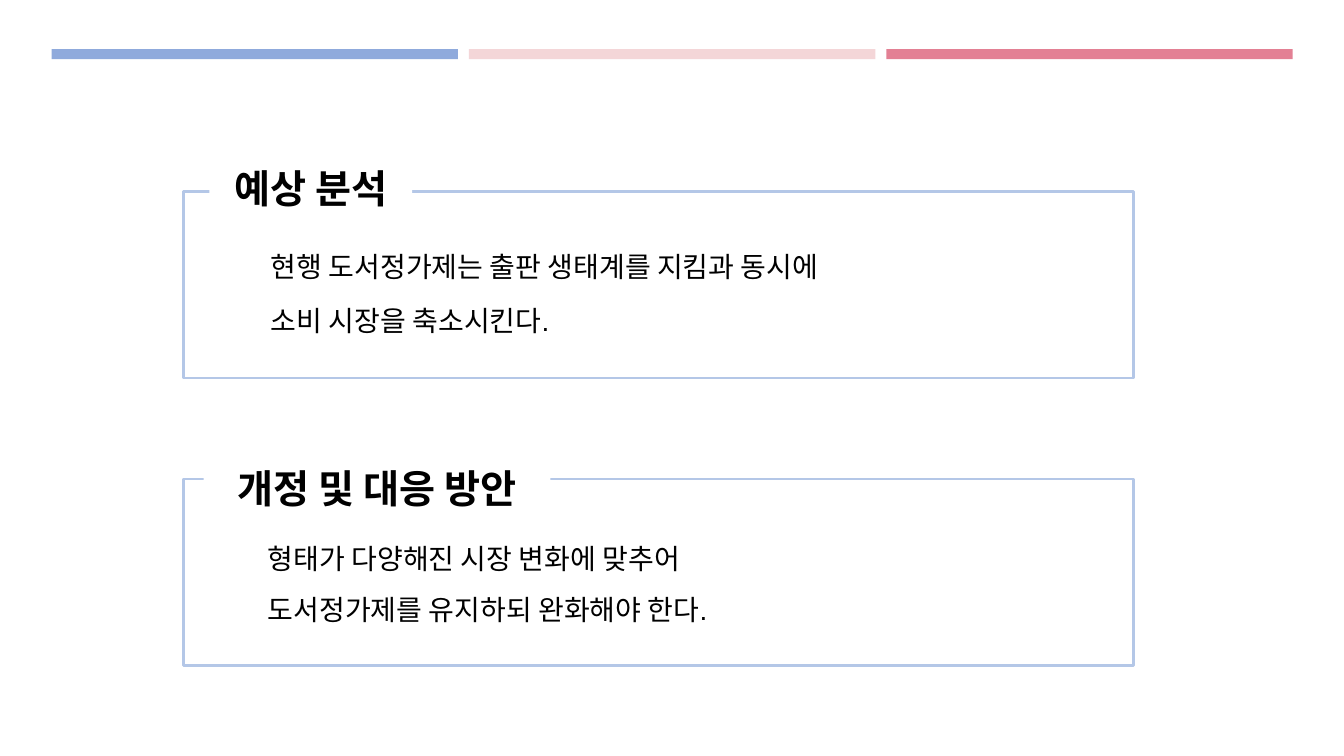
from lxml import etree
from pptx import Presentation
from pptx import util as u
from pptx.dml.color import RGBColor
from pptx.enum import shapes, text
from pptx.oxml.ns import qn

BLUE = RGBColor(0x8F, 0xAA, 0xDC)
PALE_PINK = RGBColor(0xF4, 0xD6, 0xD8)
ROSE = RGBColor(0xE3, 0x80, 0x94)
FRAME_BLUE = RGBColor(0xB4, 0xC7, 0xE7)
WHITE = RGBColor(0xFF, 0xFF, 0xFF)
BLACK = RGBColor(0, 0, 0)

KOREAN_FONT = "Noto Sans CJK KR"
HEADING = {"size": u.Pt(28), "name": KOREAN_FONT, "bold": True}
BODY = {"size": u.Pt(20), "name": "Arial", "bold": False}

BAR_COLOURS = [BLUE, PALE_PINK, ROSE]
BAR_LEFT, BAR_TOP, BAR_WIDTH, BAR_HEIGHT, BAR_STEP = 1.3, 1.24, 10.24, 0.25, 10.52
FRAME_LEFT, FRAME_WIDTH, FRAME_HEIGHT = 4.62, 23.95, 4.7

SECTIONS = [
    {
        "frame_top": 4.83,
        "heading": "예상 분석",
        "heading_box": (5.28, 3.3, 5.11, 1.9),
        "lines": ["현행 도서정가제는 출판 생태계를 지킴과 동시에", "소비 시장을 축소시킨다."],
        "body_box": (6.58, 5.66, 17.68, 2.79),
        "body_spacing": 1.6,
    },
    {
        "frame_top": 12.07,
        "heading": "개정 및 대응 방안",
        "heading_box": (5.13, 10.87, 8.74, 1.9),
        "lines": ["형태가 다양해진 시장 변화에 맞추어", "도서정가제를 유지하되 완화해야 한다."],
        "body_box": (6.5, 13.11, 16.1, 2.67),
        "body_spacing": 1.5,
    },
]


class SlideBuilder:
    def __init__(self, slide):
        self.slide = slide

    def rectangle(self, box, fill=None, line=None):
        shape = self.slide.shapes.add_shape(
            shapes.MSO_SHAPE.RECTANGLE, *map(u.Cm, box))
        shape.shadow.inherit = False
        if fill is None:
            shape.fill.background()
        else:
            shape.fill.solid()
            shape.fill.fore_color.rgb = fill
        if line is None:
            shape.line.fill.background()
        else:
            shape.line.color.rgb = line
            shape.line.width = u.Pt(1.75)

    def text_box(self, box, lines, style, spacing, align, fill=None):
        shape = self.slide.shapes.add_textbox(*map(u.Cm, box))
        if fill is not None:
            shape.fill.solid()
            shape.fill.fore_color.rgb = fill
        frame = shape.text_frame
        frame.word_wrap = True
        frame.auto_size = text.MSO_AUTO_SIZE.SHAPE_TO_FIT_TEXT
        for index, line in enumerate(lines):
            paragraph = frame.add_paragraph() if index else frame.paragraphs[0]
            paragraph.line_spacing = spacing
            paragraph.alignment = align
            self.styled_run(paragraph, line, style)

    def styled_run(self, paragraph, words, style):
        """Add a run with its format and the East Asian font for Hangul."""
        run = paragraph.add_run()
        run.text = words
        for attribute, value in style.items():
            setattr(run.font, attribute, value)
        run.font.color.rgb = BLACK
        properties = run._r.get_or_add_rPr()
        etree.SubElement(properties, qn("a:ea")).set("typeface", KOREAN_FONT)

    def section(self, section):
        self.text_box(section["body_box"], section["lines"], BODY,
                      section["body_spacing"], text.PP_ALIGN.LEFT)
        self.rectangle((FRAME_LEFT, section["frame_top"], FRAME_WIDTH, FRAME_HEIGHT),
                       line=FRAME_BLUE)
        self.text_box(section["heading_box"], [section["heading"]], HEADING,
                      1.6, text.PP_ALIGN.CENTER, fill=WHITE)


def main():
    presentation = Presentation()
    presentation.slide_width = u.Cm(33.87)
    presentation.slide_height = u.Cm(19.05)
    builder = SlideBuilder(presentation.slides.add_slide(presentation.slide_layouts[6]))
    for index, colour in enumerate(BAR_COLOURS):
        builder.rectangle((BAR_LEFT + index * BAR_STEP, BAR_TOP, BAR_WIDTH, BAR_HEIGHT),
                          fill=colour)
    for section in SECTIONS:
        builder.section(section)
    presentation.save("out.pptx")


if __name__ == "__main__":
    main()
